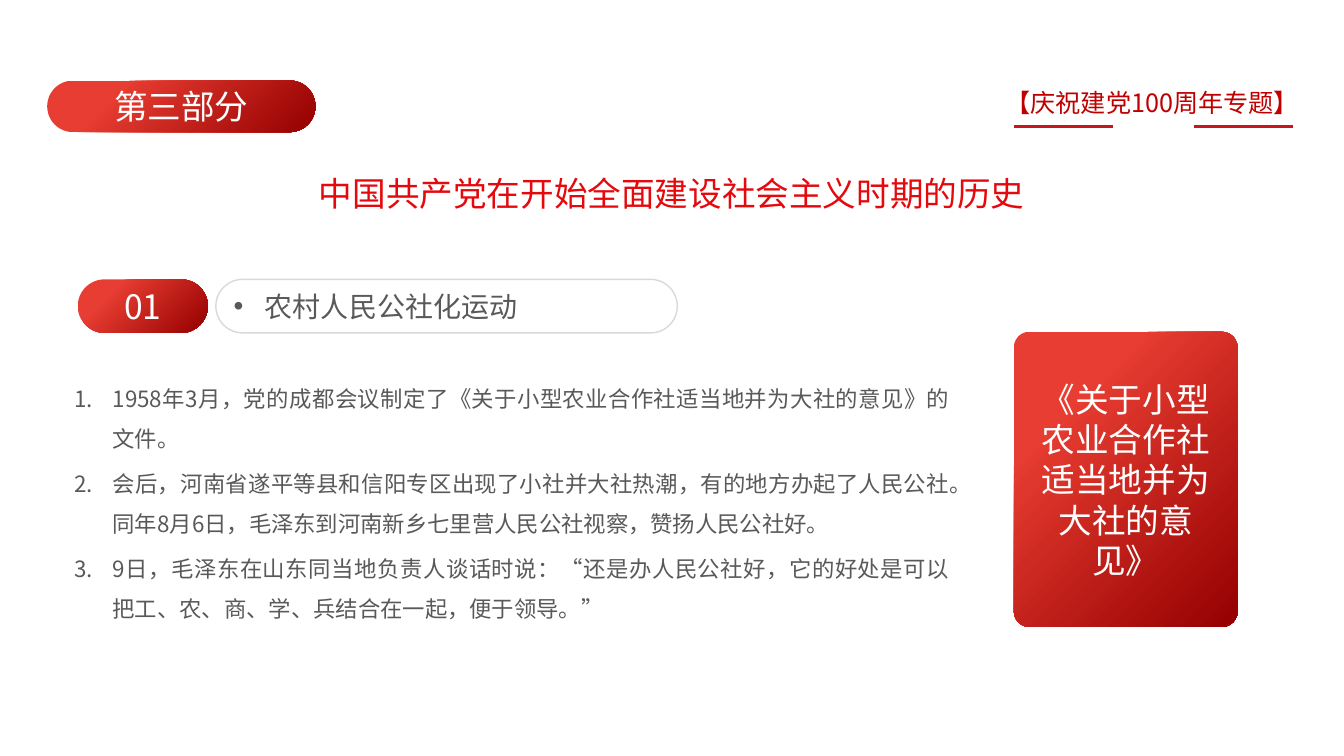
import pptx
import pptx.dml.color
import pptx.enum.shapes
import pptx.enum.text
import pptx.oxml.ns
import pptx.util
from dataclasses import dataclass
from lxml import etree

Cm, Pt = pptx.util.Cm, pptx.util.Pt
ALIGN = pptx.enum.text.PP_ALIGN
MIDDLE = pptx.enum.text.MSO_ANCHOR.MIDDLE
qn = pptx.oxml.ns.qn


@dataclass(frozen=True)
class Theme:
    font: str = "Noto Sans CJK SC"
    bright: str = "E83D32"
    dark: str = "940000"
    title: str = "E5090D"
    header: str = "C00000"
    rule: str = "C8161D"
    grey: str = "595959"
    outline: str = "D9D9D9"
    white: str = "FFFFFF"
    large: int = 24
    medium: int = 20
    small: int = 18
    body: int = 16


THEME = Theme()


def rgb(value):
    return pptx.dml.color.RGBColor.from_string(value)


def apply(target, formats):
    for name, value in formats.items():
        setattr(target, name, value)


def set_frame(tf, margins, **formats):
    """Set the wrapping and the left/right and top/bottom insets, in cm."""
    side, end = map(Cm, margins)
    apply(tf, dict(word_wrap=True, margin_left=side, margin_right=side,
                   margin_top=end, margin_bottom=end, **formats))


def write(p, text, size, color, **formats):
    apply(p, formats)
    r = p.add_run()
    r.text = text
    apply(r.font, {"name": THEME.font, "size": Pt(size)})
    r.font.color.rgb = rgb(color)
    etree.SubElement(r.font._element, qn("a:ea"), typeface=THEME.font)


def add_bullet(p, indent, tag, **attributes):
    """Hang the paragraph by indent cm after a bullet or a number."""
    pPr = p._p.get_or_add_pPr()
    pPr.set("marL", str(Cm(indent)))
    pPr.set("indent", str(-Cm(indent)))
    etree.SubElement(pPr, qn("a:buFont"), typeface="Arial" if tag == "a:buChar" else "+mj-lt")
    etree.SubElement(pPr, qn(tag), **attributes)


def add_text(slide, box, margins=(0.33, 0.18)):
    tf = slide.shapes.add_textbox(*map(Cm, box)).text_frame
    set_frame(tf, margins)
    return tf


def add_rounded(slide, box, radius):
    shape = pptx.enum.shapes.MSO_SHAPE.ROUNDED_RECTANGLE
    sp = slide.shapes.add_shape(shape, *map(Cm, box))
    sp.shadow.inherit = False
    sp.adjustments[0] = radius
    set_frame(sp.text_frame, (0.25, 0.13), vertical_anchor=MIDDLE)
    return sp


def add_red_panel(slide, box, text, radius=0.5):
    sp = add_rounded(slide, box, radius)
    sp.line.fill.background()
    sp.fill.gradient()
    sp.fill.gradient_angle = 315
    stops = ((0.24, THEME.bright), (1, THEME.dark))
    for stop, (position, color) in zip(sp.fill.gradient_stops, stops):
        stop.position = position
        stop.color.rgb = rgb(color)
    write(sp.text_frame.paragraphs[0], text, THEME.large, THEME.white,
          alignment=ALIGN.CENTER)


def add_header(slide, box, text):
    """Right-aligned banner with two short rules under it."""
    left, top, width, height = box
    tf = add_text(slide, box)
    write(tf.paragraphs[0], text, THEME.small, THEME.header, alignment=ALIGN.RIGHT)
    y, length = top + height + 0.05, 2.49
    for x in (left + 5.41, left + 9.96):
        line = slide.shapes.add_connector(
            pptx.enum.shapes.MSO_CONNECTOR.STRAIGHT, *map(Cm, (x, y, x + length, y)))
        line.line.color.rgb = rgb(THEME.rule)
        line.line.width = Pt(2.25)
        etree.SubElement(line._element.spPr, qn("a:effectLst"))


def add_title(slide, box, text):
    tf = add_text(slide, box)
    write(tf.paragraphs[0], text, THEME.large, THEME.title, alignment=ALIGN.CENTER)


def add_topic(slide, box, number, text):
    """Numbered red pill followed by an outlined pill."""
    left, top, width, height = box
    number_width, gap = 3.28, 0.2
    start = number_width + gap
    sp = add_rounded(slide, (left + start, top, width - start, height), 0.5)
    sp.fill.solid()
    sp.fill.fore_color.rgb = rgb(THEME.white)
    sp.line.color.rgb = rgb(THEME.outline)
    sp.line.width = Pt(1)
    p = sp.text_frame.paragraphs[0]
    add_bullet(p, 0.79, "a:buChar", char="•")
    write(p, text, THEME.medium, THEME.grey, alignment=ALIGN.LEFT)
    add_red_panel(slide, (left, top, number_width, height), number)


def add_numbered_list(slide, box, items):
    tf = add_text(slide, box, (0, 0))
    for i, item in enumerate(items):
        p = tf.add_paragraph() if i else tf.paragraphs[0]
        add_bullet(p, 0.96, "a:buAutoNum", type="arabicPeriod")
        write(p, item, THEME.body, THEME.grey, alignment=ALIGN.JUSTIFY,
              line_spacing=1.5, space_before=Pt(3.2 if i else 0))


def main():
    prs = pptx.Presentation()
    apply(prs, {"slide_width": Cm(33.87), "slide_height": Cm(19.05)})
    slide = prs.slides.add_slide(prs.slide_layouts[6])
    add_header(slide, (20.14, 2.01, 12.93, 1.12), "【庆祝建党100周年专题】")
    add_red_panel(slide, (1.19, 2.03, 6.76, 1.3), "第三部分")
    add_title(slide, (6.25, 4.17, 21.36, 1.37),
              "中国共产党在开始全面建设社会主义时期的历史")
    add_numbered_list(slide, (1.88, 9.37, 22.07, 6.43), (
        "1958年3月，党的成都会议制定了《关于小型农业合作社适当地并为大社的意见》的文件。",
        "会后，河南省遂平等县和信阳专区出现了小社并大社热潮，有的地方办起了人民公社。"
        "同年8月6日，毛泽东到河南新乡七里营人民公社视察，赞扬人民公社好。",
        "9日，毛泽东在山东同当地负责人谈话时说：“还是办人民公社好，它的好处是可以"
        "把工、农、商、学、兵结合在一起，便于领导。”",
    ))
    add_topic(slide, (1.96, 7.04, 15.11, 1.35), "01", "农村人民公社化运动")
    add_red_panel(slide, (25.55, 8.36, 5.64, 7.44),
                  "《关于小型农业合作社适当地并为大社的意见》", 0.07)
    prs.save("out.pptx")


if __name__ == "__main__":
    main()
